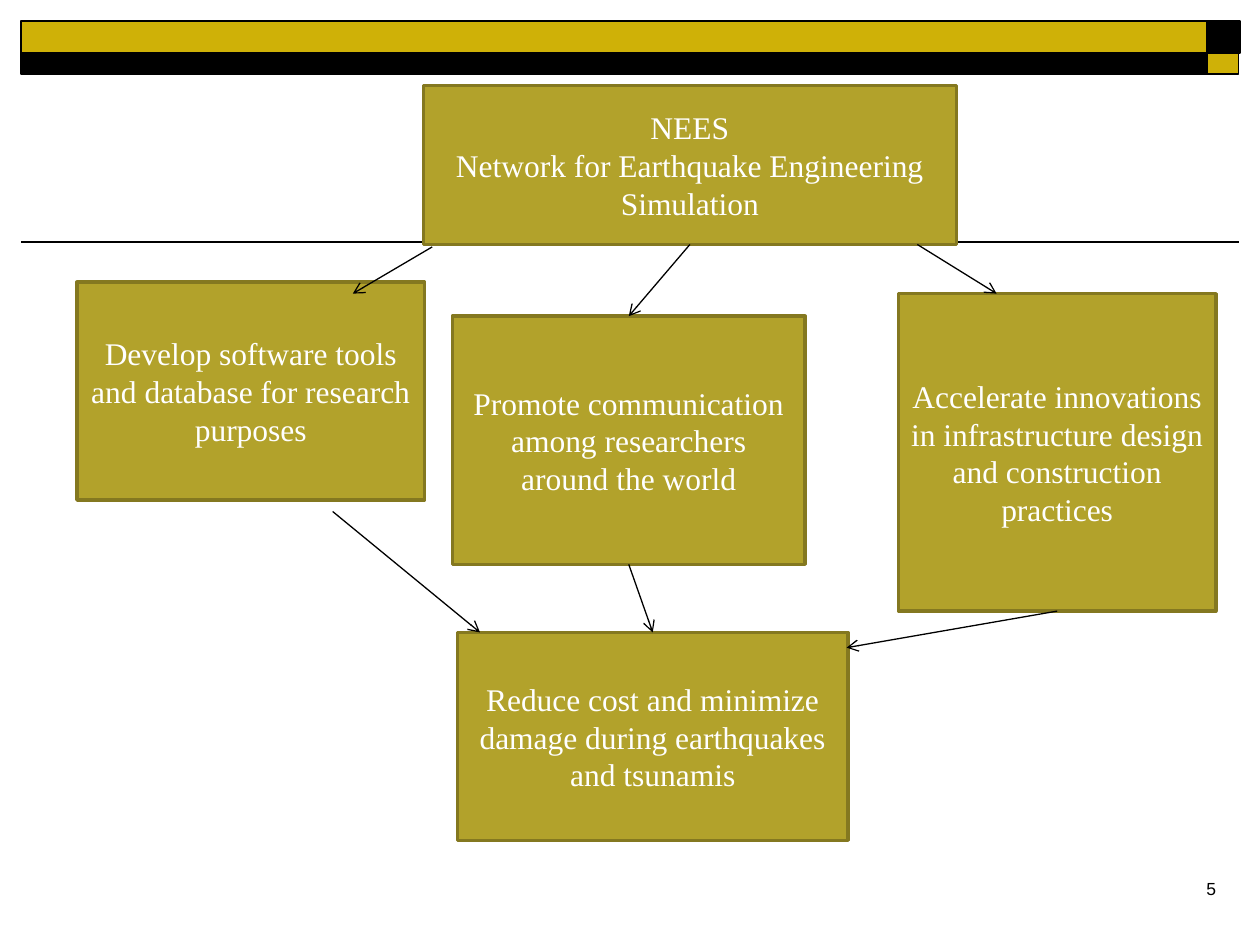
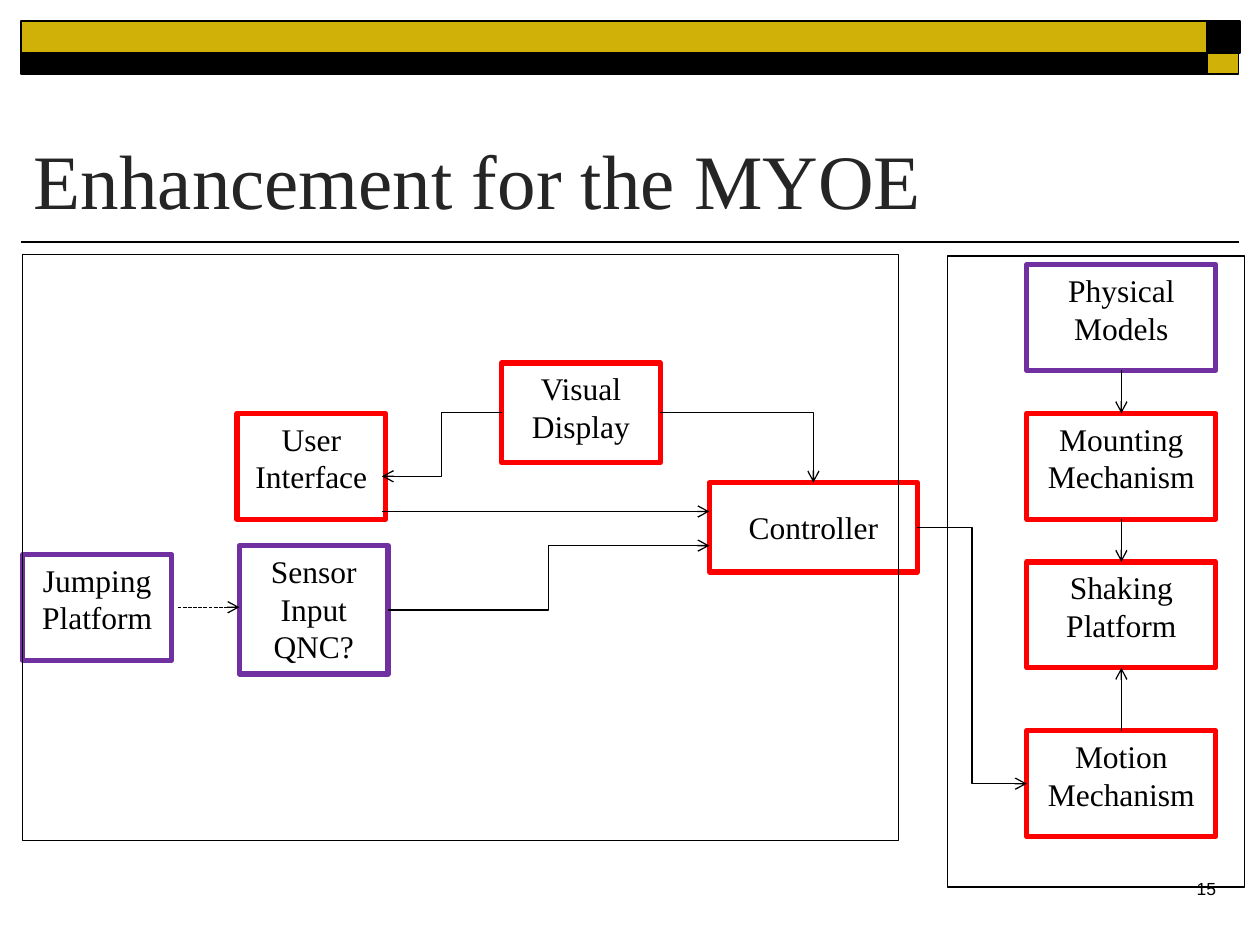
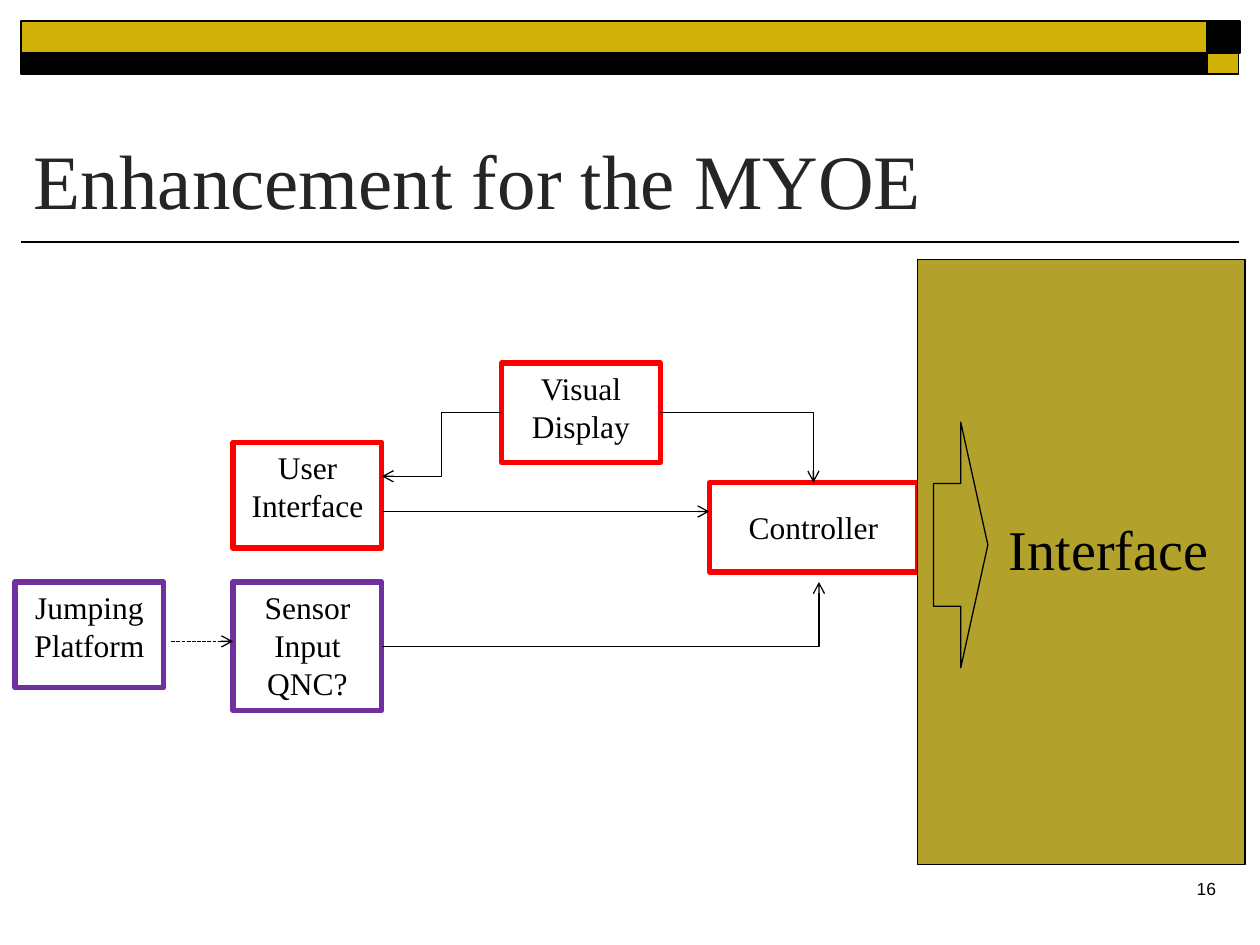
from lxml import etree
from pptx import Presentation
from pptx.dml.color import RGBColor
from pptx.enum import dml, shapes, text
from pptx.oxml import ns
from pptx.util import Pt

BLACK = RGBColor(0x00, 0x00, 0x00)
WHITE = RGBColor(0xFF, 0xFF, 0xFF)
GOLD = RGBColor(0xCF, 0xB1, 0x07)
OLIVE = RGBColor(0xB2, 0xA2, 0x2B)
DARK_OLIVE = RGBColor(0x84, 0x78, 0x20)
CHARCOAL = RGBColor(0x25, 0x25, 0x25)
RED = RGBColor(0xFF, 0x00, 0x00)
PURPLE = RGBColor(0x70, 0x30, 0xA0)
SERIF, SANS = "Times New Roman", "Arial"

TITLE = "Enhancement for the MYOE"
TITLE_AREA = (12.2, 48.2, 694, 84.2)
NUMBER_AREA = (606.2, 498.2, 95.8, 36)
RULE = ((707.8, 138.2), (12.2, 138.2))
BANDS = [
    ((689.8, 12.2, 18.7, 18), BLACK),
    ((12.2, 12.2, 677.6, 18), GOLD),
    ((12.2, 30.2, 678.2, 12.2), BLACK),
    ((689.8, 30.2, 18, 12.2), GOLD),
]

GOALS = {
    "NEES\nNetwork for Earthquake Engineering Simulation": (242, 49, 304.5, 90.7),
    "Develop software tools and database for research purposes": (44, 161.3, 198.7, 124.5),
    "Promote communication among researchers around the world": (258.5, 180.7, 201.6, 141.8),
    "Accelerate innovations in infrastructure design and construction practices":
        (513.4, 167.8, 181.4, 181.4),
    "Reduce cost and minimize damage during earthquakes and tsunamis":
        (261.4, 361.4, 223.2, 118.8),
}
NETWORK, TOOLS, COMMUNICATION, INNOVATION, OUTCOME = GOALS
GOAL_LINKS = [
    ((NETWORK, 0.5, 1), (COMMUNICATION, 0.5, 0)),
    ((247, 141.1), (201.6, 167.8)),
    ((524.2, 139.7), (569.5, 167.8)),
    ((190.1, 292.3), (274.3, 361.4)),
    ((COMMUNICATION, 0.5, 1), (OUTCOME, 0.5, 0)),
    ((INNOVATION, 0.5, 1), (483.8, 370.1)),
]

JUMPING, USER, SENSOR = "Jumping Platform", "User Interface", "Sensor Input QNC?"
VISUAL, CONTROLLER = "Visual Display", "Controller"
PHYSICAL, MOUNTING = "Physical Models", "Mounting Mechanism"
SHAKING, MOTION = "Shaking Platform", "Motion Mechanism"
ADDED_PARTS = {JUMPING, SENSOR, PHYSICAL}
INPUT_SIZES = {JUMPING: (85, 60.5), USER: (85, 60.5), SENSOR: (85, 73.4)}
CONTROL_PARTS = {VISUAL: (286.6, 207.4, 90.7, 56.9), CONTROLLER: (405.4, 275.8, 118.8, 51.1)}
SHAKER_TOPS = {PHYSICAL: 151.2, MOUNTING: 236.2, SHAKING: 321.1, MOTION: 417.6}
SHAKER_PARTS = {part: (586.8, top, 108, 60.5) for part, top in SHAKER_TOPS.items()}

CONTROL_LINKS = [
    ((VISUAL, 1, 0.5), (CONTROLLER, 0.5, 0), "corner"),
    ((VISUAL, 0, 0.5), (218.2, 272.2), "elbow"),
    ((218.2, 292.3), (405.4, 292.3)),
]
SHAKER_LINKS = [
    ((CONTROLLER, 1, 0.5), (MOTION, 0, 0.5), "elbow"),
    ((MOTION, 0.5, 0), (SHAKING, 0.5, 1)),
    ((MOUNTING, 0.5, 1), (SHAKING, 0.5, 0)),
    ((PHYSICAL, 0.5, 1), (MOUNTING, 0.5, 0)),
]
FULL_INPUTS = {JUMPING: (13, 316.8), USER: (135.4, 236.2), SENSOR: (136.8, 311.8)}
FULL_LINKS = [
    ((101.5, 347), (136.8, 347), "dashed"),
    ((SENSOR, 1, 0.5), (405.4, 311.8), "elbow"),
]
FRAMES = [(13, 145.4, 500.4, 334.8), (541.4, 146.2, 169.9, 360.7)]

BRIEF_INPUTS = {JUMPING: (8.6, 332.6), USER: (133.2, 252.7), SENSOR: (133.2, 332.6)}
BRIEF_LINKS = [
    ((97.9, 366.5), (133.2, 366.5), "dashed"),
    ((SENSOR, 1, 0.5), (468, 332.6), "corner"),
]
INTERFACE_PANEL = (524.2, 148.3, 187.2, 345.6)
INTERFACE_ARROW = (533.5, 241.2, 31, 140.4)
INTERFACE_LABEL = (569.5, 290.2, 141.8, 46.1)


def points(values):
    return [Pt(value) for value in values]


def write(frame, words, size, color, font=SERIF, align=None):
    paragraph = frame.paragraphs[0]
    paragraph.text = words
    paragraph.alignment = align
    for run in paragraph.runs:
        run.font.name = font
        run.font.size = Pt(size)
        run.font.color.rgb = color
    return paragraph


def add_block(slide, area, fill, line, weight, kind=shapes.MSO_SHAPE.RECTANGLE):
    block = slide.shapes.add_shape(kind, *points(area))
    block.shadow.inherit = False
    if fill is None:
        block.fill.background()
    else:
        block.fill.solid()
        block.fill.fore_color.rgb = fill
    block.line.color.rgb = line
    block.line.width = Pt(weight)
    return block


def add_label(slide, area, words, size, font=SERIF, align=None):
    label = slide.shapes.add_textbox(*points(area))
    label.text_frame.word_wrap = True
    write(label.text_frame, words, size, BLACK, font, align)


def add_line(slide, start, end, style="straight", weight=0.75, arrow=True):
    bent = style in ("elbow", "corner")
    route = shapes.MSO_CONNECTOR.ELBOW if bent else shapes.MSO_CONNECTOR.STRAIGHT
    line = slide.shapes.add_connector(route, *points(start + end))
    line.line.color.rgb = BLACK
    line.line.width = Pt(weight)
    if style == "dashed":
        line.line.dash_style = dml.MSO_LINE.SQUARE_DOT
    properties = line.element.spPr
    if style == "corner":
        properties.find(ns.qn("a:prstGeom")).set("prst", "bentConnector2")
    if arrow:
        etree.SubElement(properties.find(ns.qn("a:ln")), ns.qn("a:tailEnd"), type="arrow")
    etree.SubElement(properties, ns.qn("a:effectLst"))
    return line


def locate(end, areas):
    if len(end) == 2:
        return end
    part, across, down = end
    left, top, width, height = areas[part]
    return left + across * width, top + down * height


def add_links(slide, links, areas):
    for start, end, *style in links:
        add_line(slide, locate(start, areas), locate(end, areas), *style)


def add_parts(slide, areas):
    for part, area in areas.items():
        color = PURPLE if part in ADDED_PARTS else RED
        block = add_block(slide, area, None, color, 3)
        block.text_frame.word_wrap = True
        block.text_frame.vertical_anchor = text.MSO_ANCHOR.TOP
        paragraph = write(block.text_frame, part, 18, BLACK, align=text.PP_ALIGN.CENTER)
        if part == CONTROLLER:
            paragraph.line_spacing = 1.5


def add_number(slide, number):
    add_label(slide, NUMBER_AREA, number, 10, SANS, text.PP_ALIGN.RIGHT)


def decorate_master(deck, slide):
    pieces = [add_line(slide, *RULE, weight=1, arrow=False)]
    pieces += [add_block(slide, area, fill, BLACK, 1) for area, fill in BANDS]
    for piece in pieces:
        deck.slide_master.shapes.element.append(piece.element)


def add_titled_slide(deck, number):
    slide = deck.slides.add_slide(deck.slide_layouts[5])
    title = slide.shapes.title
    title.left, title.top, title.width, title.height = points(TITLE_AREA)
    title.text_frame.auto_size = text.MSO_AUTO_SIZE.NONE
    title.text_frame.vertical_anchor = text.MSO_ANCHOR.BOTTOM
    write(title.text_frame, TITLE, 44, CHARCOAL, align=text.PP_ALIGN.LEFT)
    add_number(slide, number)
    return slide


def place_inputs(corners):
    return {part: corner + INPUT_SIZES[part] for part, corner in corners.items()}


deck = Presentation()
deck.slide_width, deck.slide_height = Pt(720), Pt(540)

goals = deck.slides.add_slide(deck.slide_layouts[6])
decorate_master(deck, goals)
for goal, area in GOALS.items():
    block = add_block(goals, area, OLIVE, DARK_OLIVE, 2)
    block.text_frame.word_wrap = True
    block.text_frame.vertical_anchor = text.MSO_ANCHOR.MIDDLE
    write(block.text_frame, goal, 18, WHITE, align=text.PP_ALIGN.CENTER)
add_links(goals, GOAL_LINKS, GOALS)
add_number(goals, "5")

full = add_titled_slide(deck, "15")
full_areas = {**place_inputs(FULL_INPUTS), **CONTROL_PARTS, **SHAKER_PARTS}
add_parts(full, full_areas)
add_links(full, SHAKER_LINKS + FULL_LINKS + CONTROL_LINKS, full_areas)
for frame in FRAMES:
    add_block(full, frame, None, BLACK, 0.75)

brief = add_titled_slide(deck, "16")
brief_areas = {**place_inputs(BRIEF_INPUTS), **CONTROL_PARTS}
add_parts(brief, brief_areas)
add_links(brief, BRIEF_LINKS + CONTROL_LINKS, brief_areas)
add_block(brief, INTERFACE_PANEL, OLIVE, BLACK, 0.75)
add_label(brief, INTERFACE_LABEL, "Interface", 32)
add_block(brief, INTERFACE_ARROW, OLIVE, BLACK, 0.75, shapes.MSO_SHAPE.RIGHT_ARROW)

deck.save("out.pptx")
